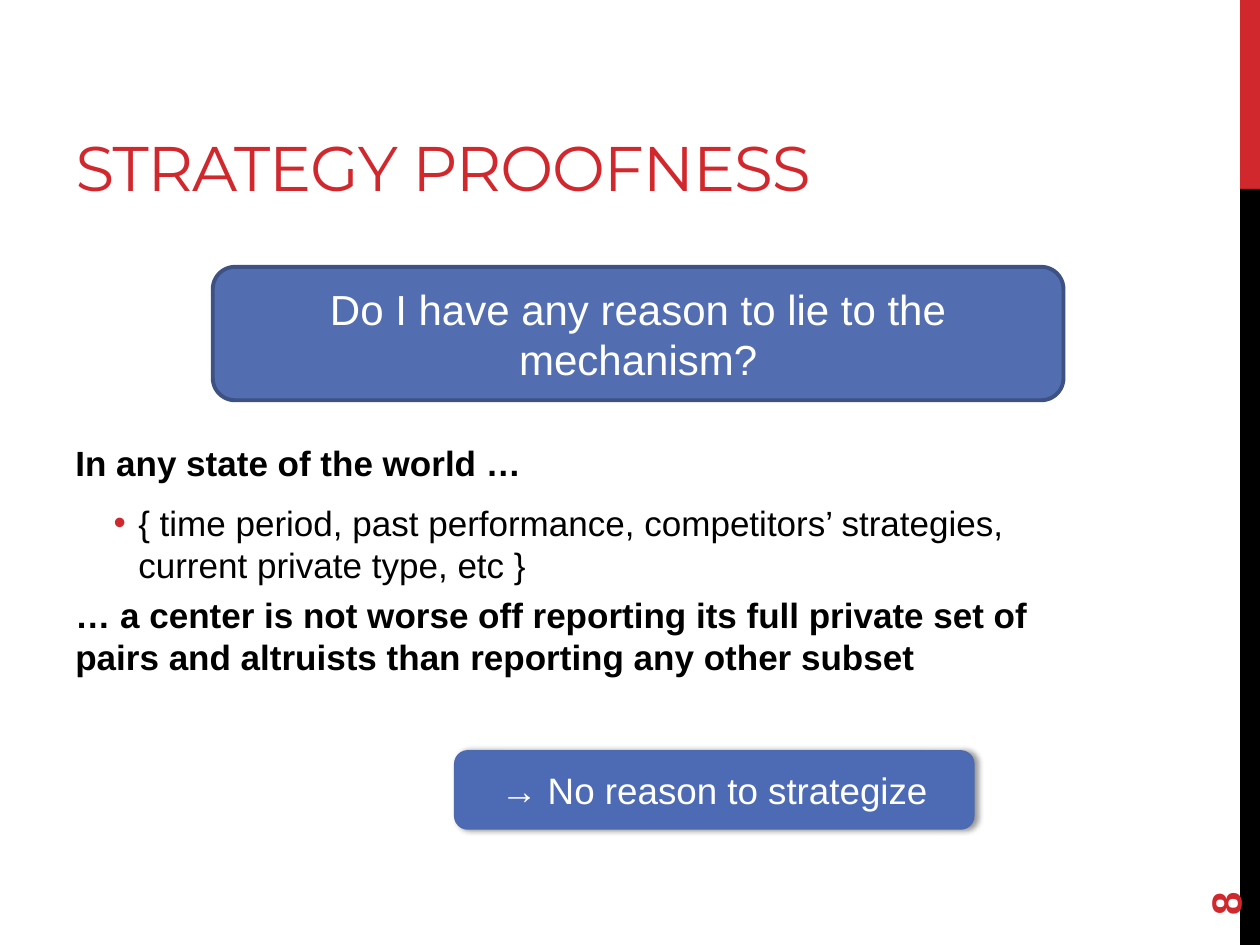
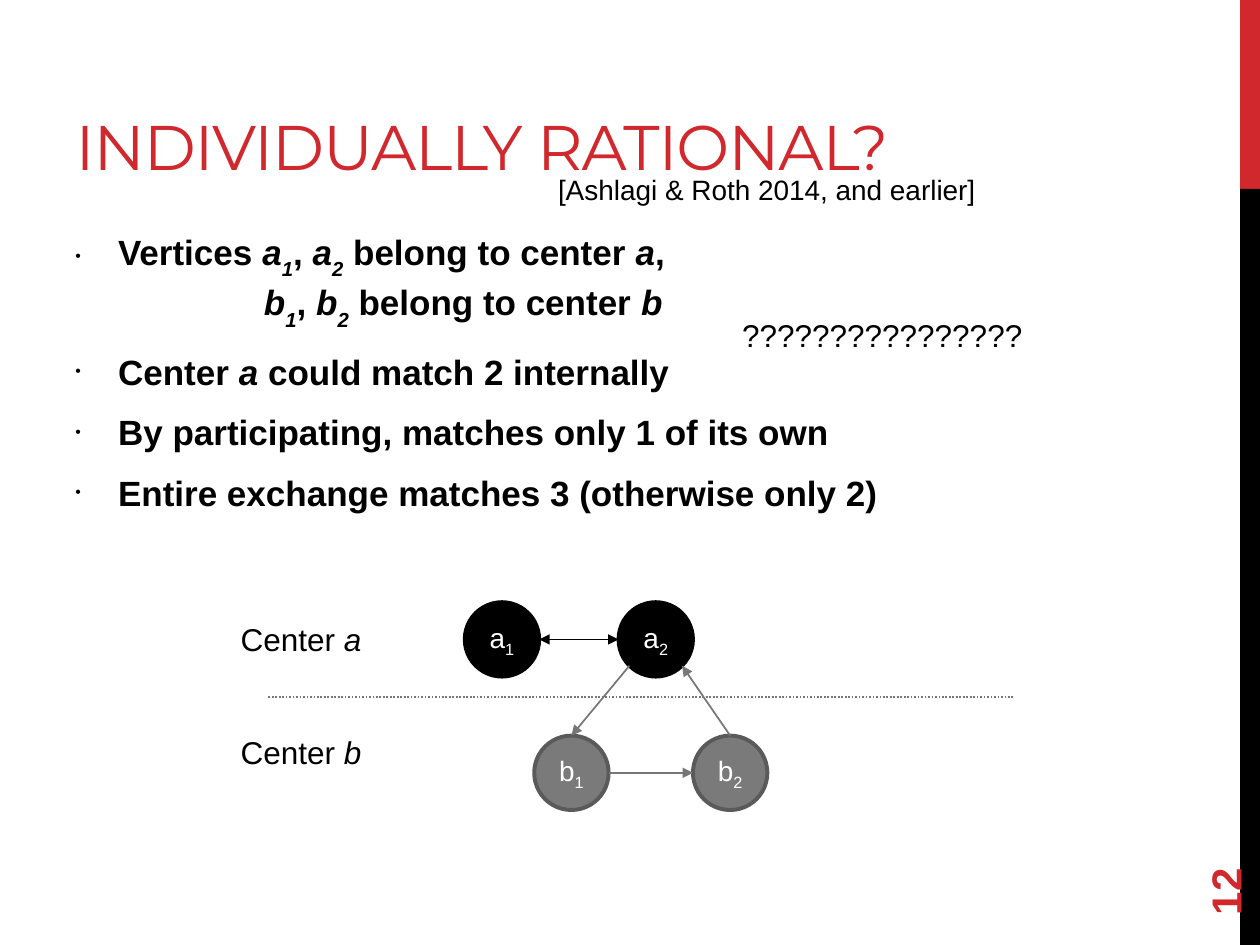
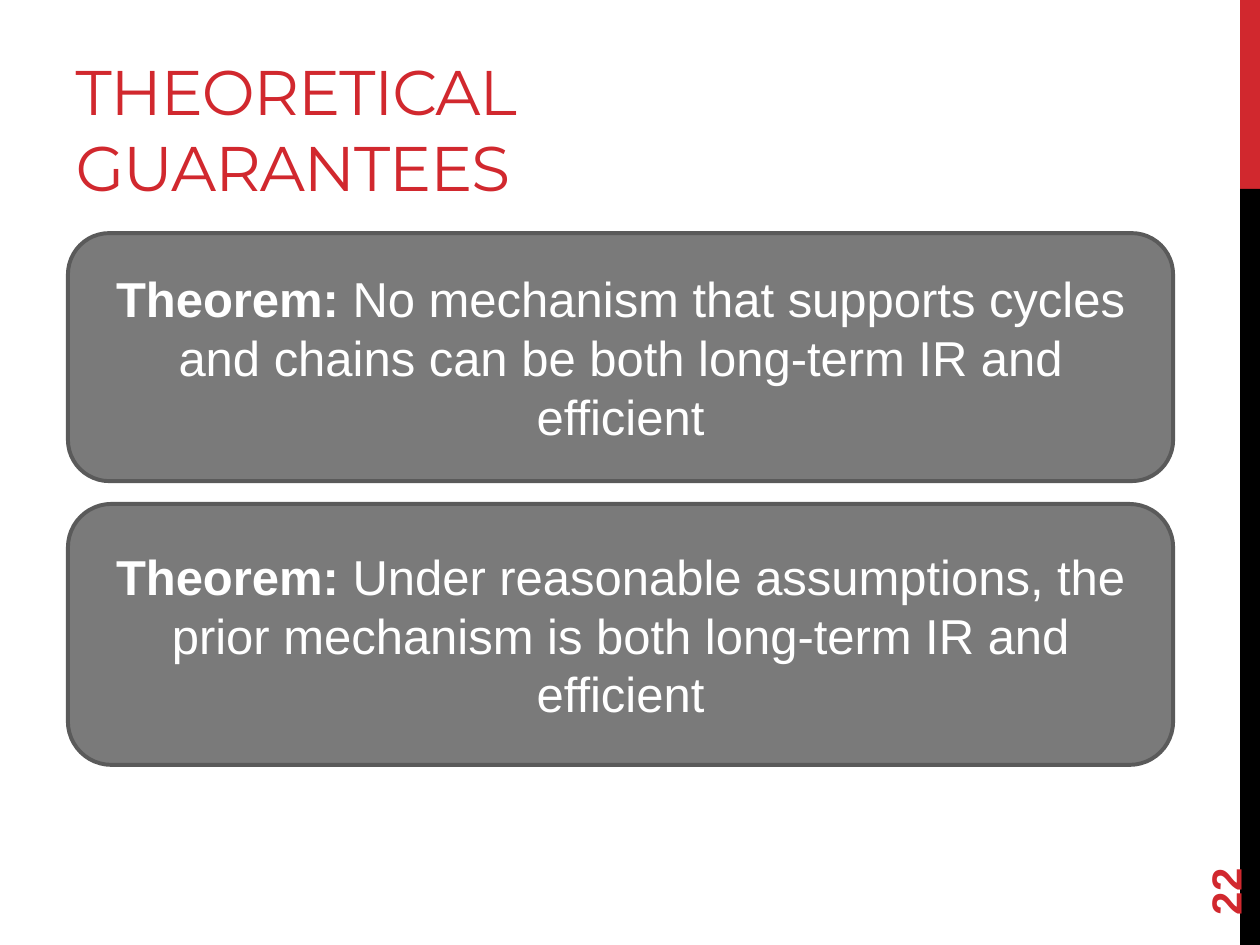
import math
from collections import namedtuple
from dataclasses import dataclass

from lxml import etree
from pptx import Presentation
from pptx import util as u
from pptx.dml.color import RGBColor
from pptx.enum import dml, shapes, text
from pptx.oxml import ns

Box = namedtuple("Box", "x y w h")


@dataclass(frozen=True)
class Theme:
    red: str = "D1282E"
    black: str = "000000"
    white: str = "FFFFFF"
    grey: str = "7A7A7A"
    grey_edge: str = "5A5A5A"
    arrow: str = "777777"
    blue: str = "526DB0"
    blue_edge: str = "3D5182"
    button: str = "4D6BB5"
    button_edge: str = "4E6AAE"
    title_font: str = "Montserrat"
    font: str = "Arial"
    title: int = 36
    theorem: int = 28
    question: int = 24
    number: int = 24
    answer: int = 21
    body: int = 20
    label: int = 18
    small: int = 16


T = Theme()
BOLD = {"bold": True}
ITALIC = {"italic": True}
SUB = {"italic": True, "baseline": -33}
NODE_SUB = {"baseline": -25}
WIDE_TITLE = Box(1.27, 0.86, 22.86, 2.95)
TITLE = Box(1.27, 0.43, 16.08, 3.81)


def rgb(value):
    return RGBColor.from_string(value)


def cm(*values):
    return [u.Cm(v) for v in values]


def add_xml(parent, tag, **attrs):
    el = etree.SubElement(parent, ns.qn(tag))
    for key, value in attrs.items():
        el.set(key, str(value))
    return el


def set_attrs(obj, values):
    for key, value in values.items():
        setattr(obj, key, value)


def add_runs(p, runs, size, color, name=T.font, **base):
    for item in [runs] if isinstance(runs, str) else runs:
        words, extra = (item, {}) if isinstance(item, str) else item
        fmt = {"name": name, "size": u.Pt(size), **base, **extra}
        baseline = fmt.pop("baseline", 0)
        r = p.add_run()
        r.text = words
        set_attrs(r.font, fmt)
        r.font.color.rgb = rgb(color)
        if baseline:
            r.font._element.set("baseline", str(baseline * 1000))


def add_indent(p, left, hanging=0, bullet=None, color=T.black, percent=100):
    pPr = p._p.get_or_add_pPr()
    pPr.set("marL", str(u.Cm(left)))
    pPr.set("indent", str(-u.Cm(hanging)))
    if bullet:
        add_xml(add_xml(pPr, "a:buClr"), "a:srgbClr", val=color)
        add_xml(pPr, "a:buSzPct", val=percent * 1000)
        add_xml(pPr, "a:buFont", typeface=T.font)
        add_xml(pPr, "a:buChar", char=bullet)


def add_label(s, box, runs, size, color=T.black, **base):
    sp = s.shapes.add_textbox(*cm(*box))
    sp.text_frame.word_wrap = True
    add_runs(sp.text_frame.paragraphs[0], runs, size, color, **base)
    return sp


def add_panel(s, box, fill, edge=None, width=2.25, runs=(), size=T.body,
              kind=shapes.MSO_SHAPE.ROUNDED_RECTANGLE):
    sp = s.shapes.add_shape(kind, *cm(*box))
    sp.shadow.inherit = False
    sp.fill.solid()
    sp.fill.fore_color.rgb = rgb(fill)
    if edge:
        sp.line.color.rgb = rgb(edge)
        sp.line.width = u.Pt(width)
    else:
        sp.line.fill.background()
    tf = sp.text_frame
    set_attrs(tf, {"word_wrap": True, "vertical_anchor": text.MSO_ANCHOR.MIDDLE})
    tf.paragraphs[0].alignment = text.PP_ALIGN.CENTER
    add_runs(tf.paragraphs[0], runs, size, T.white)
    return sp


def add_line(s, start, end, color=T.arrow, dash=None, ends=("tailEnd",)):
    c = s.shapes.add_connector(shapes.MSO_CONNECTOR.STRAIGHT, *cm(*start, *end))
    c.line.color.rgb = rgb(color)
    c.line.width = u.Pt(1)
    if dash:
        c.line.dash_style = dash
    for end_name in ends:
        add_xml(c.line._get_or_add_ln(), f"a:{end_name}", type="triangle")
    add_xml(c._element.spPr, "a:effectLst")


def add_body(s, box, paragraphs):
    sp = s.shapes.add_textbox(*cm(*box))
    tf = sp.text_frame
    tf.word_wrap = True
    for i, (runs, indent, before, after, base) in enumerate(paragraphs):
        p = tf.add_paragraph() if i else tf.paragraphs[0]
        add_indent(p, **indent)
        set_attrs(p, {"space_before": u.Pt(before if i else 0), "space_after": u.Pt(after)})
        add_runs(p, runs, T.body, T.black, **base)


def add_bands(prs, s, layout):
    width = 0.4
    left = prs.slide_width.cm - width
    top = 3.81
    bands = [(T.red, 0, top), (T.black, top, prs.slide_height.cm - top)]
    for i, (color, y, height) in enumerate(bands):
        band = add_panel(s, Box(left, y, width, height), color, kind=shapes.MSO_SHAPE.RECTANGLE)
        band.element.nvSpPr.cNvPr.set("id", str(20 + i))
        layout.shapes.element.append(band.element)


def add_page(prs, layout, title, number, box=TITLE):
    s = prs.slides.add_slide(layout)
    sp = s.shapes.title
    set_attrs(sp, dict(zip(("left", "top", "width", "height"), cm(*box))))
    tf = sp.text_frame
    set_attrs(tf, {"word_wrap": True, "auto_size": text.MSO_AUTO_SIZE.NONE,
                   "vertical_anchor": text.MSO_ANCHOR.BOTTOM})
    p = tf.paragraphs[0]
    p.alignment = text.PP_ALIGN.LEFT
    add_runs(p, title, T.title, T.red, T.title_font)
    p.runs[0].font._element.set("spc", "-60")
    page = add_label(s, Box(22.86, 16.36, 3.66, 1.02), str(number), T.number, T.red, bold=True)
    page.rotation = 270
    page.text_frame.vertical_anchor = text.MSO_ANCHOR.MIDDLE
    return s


def add_answer(s, box):
    sp = add_panel(s, box, T.button, T.button_edge, 1, "→ No reason to strategize", T.answer)
    effects = sp._element.spPr.find(ns.qn("a:effectLst"))
    shadow = add_xml(effects, "a:outerShdw", blurRad=u.Pt(3.1), dist=u.Pt(1.8), dir=0,
                     rotWithShape=0)
    add_xml(add_xml(shadow, "a:srgbClr", val=T.black), "a:alpha", val=40000)


def add_exchange(s, box):
    size, lower = 1.5, box.h - 1.5
    nodes = {"a1": (4.77, 0), "a2": (7.87, 0), "b1": (6.17, lower), "b2": (9.37, lower)}

    def edge(name, degrees):
        x, y = nodes[name]
        turn = math.radians(degrees)
        return (box.x + x + size / 2 * (1 + math.cos(turn)),
                box.y + y + size / 2 * (1 + math.sin(turn)))

    for name, (x, y) in nodes.items():
        fill, line = (T.black, T.black) if name[0] == "a" else (T.grey, T.grey_edge)
        sp = add_panel(s, Box(box.x + x, box.y + y, size, size), fill, line,
                       runs=[name[0], (name[1], NODE_SUB)], size=T.small,
                       kind=shapes.MSO_SHAPE.OVAL)
        sp.text_frame.margin_left = sp.text_frame.margin_right = 0
    add_line(s, edge("b1", 0), edge("b2", 180))
    add_line(s, edge("b2", 270), edge("a2", 45))
    add_line(s, edge("a2", 135), edge("b1", 270))
    add_line(s, edge("a1", 0), edge("a2", 180), T.black, ends=("headEnd", "tailEnd"))
    middle = box.y + 1.91
    add_line(s, (box.x + 0.81, middle), (box.x + box.w, middle),
             dash=dml.MSO_LINE.ROUND_DOT, ends=())
    for center, y in (("a", 0.23), ("b", 2.51)):
        add_label(s, Box(box.x, box.y + y, 3.86, 1.02), ["Center ", (center, ITALIC)], T.label)


def add_theorems(s, box, claims, heights, gap):
    y = box.y
    for claim, height in zip(claims, heights):
        add_panel(s, Box(box.x, y, box.w, height), T.grey, T.grey_edge,
                  runs=[("Theorem:", BOLD), " " + claim], size=T.theorem)
        y += height + gap


def strategy_slide(s):
    plain = {"left": 0}
    bullet = {"left": 1.27, "hanging": 0.5, "bullet": "•", "color": T.red}
    add_body(s, Box(1.27, 8.77, 21.16, 8.25), [
        ("In any state of the world …", plain, 0, 6, BOLD),
        ("{ time period, past performance, competitors’ strategies, current private type, etc }",
         bullet, 4.6, 0, {}),
        ("… a center is not worse off reporting its full private set of pairs and altruists "
         "than reporting any other subset", plain, 4.6, 6, BOLD),
    ])
    add_panel(s, Box(4.29, 5.38, 17.15, 2.69), T.blue, T.blue_edge,
              runs="Do I have any reason to lie to the mechanism?", size=T.question)
    add_answer(s, Box(9.17, 15.14, 10.46, 1.57))


def rational_slide(s):
    def pair(letter):
        return [(letter, ITALIC), ("1", SUB), ", ", (letter, ITALIC), ("2", SUB),
                " belong to center ", (letter, ITALIC)]

    bullet = {"left": 0.86, "hanging": 0.86, "bullet": "•", "percent": 45}
    add_body(s, Box(1.27, 4.52, 22.86, 12.5), [
        (["Vertices ", *pair("a"), ","], bullet, 0, 0, BOLD),
        (pair("b"), {"left": 3.8}, 0, 6, BOLD),
        (["Center ", ("a", ITALIC), " could match 2 internally"], bullet, 4.6, 6, BOLD),
        ("By participating, matches only 1 of its own", bullet, 4.6, 6, BOLD),
        ("Entire exchange matches 3 (otherwise only 2)", bullet, 4.6, 6, BOLD),
    ])
    add_label(s, Box(11, 3.35, 9.7, 0.94), "[Ashlagi & Roth 2014, and earlier]", T.small)
    add_exchange(s, Box(4.6, 12.14, 15.82, 4.19))
    add_label(s, Box(14.71, 6.25, 7.44, 1.02), "????????????????", T.label)


def theorem_slide(s):
    add_theorems(s, Box(1.37, 4.7, 22.28, 10.72), [
        "No mechanism that supports cycles and chains can be both long-term IR and efficient",
        "Under reasonable assumptions, the prior mechanism is both long-term IR and efficient",
    ], heights=(5, 5.26), gap=0.46)


def main():
    prs = Presentation()
    prs.slide_width, prs.slide_height = cm(25.4, 19.05)
    layout = prs.slide_layouts[5]
    pages = [
        ("STRATEGY PROOFNESS", 8, TITLE, strategy_slide),
        ("INDIVIDUALLY RATIONAL?", 12, WIDE_TITLE, rational_slide),
        ("THEORETICAL GUARANTEES", 22, TITLE, theorem_slide),
    ]
    for i, (title, number, box, fill_slide) in enumerate(pages):
        s = add_page(prs, layout, title, number, box)
        if i == 0:
            add_bands(prs, s, layout)
        fill_slide(s)
    prs.save("out.pptx")


if __name__ == "__main__":
    main()
